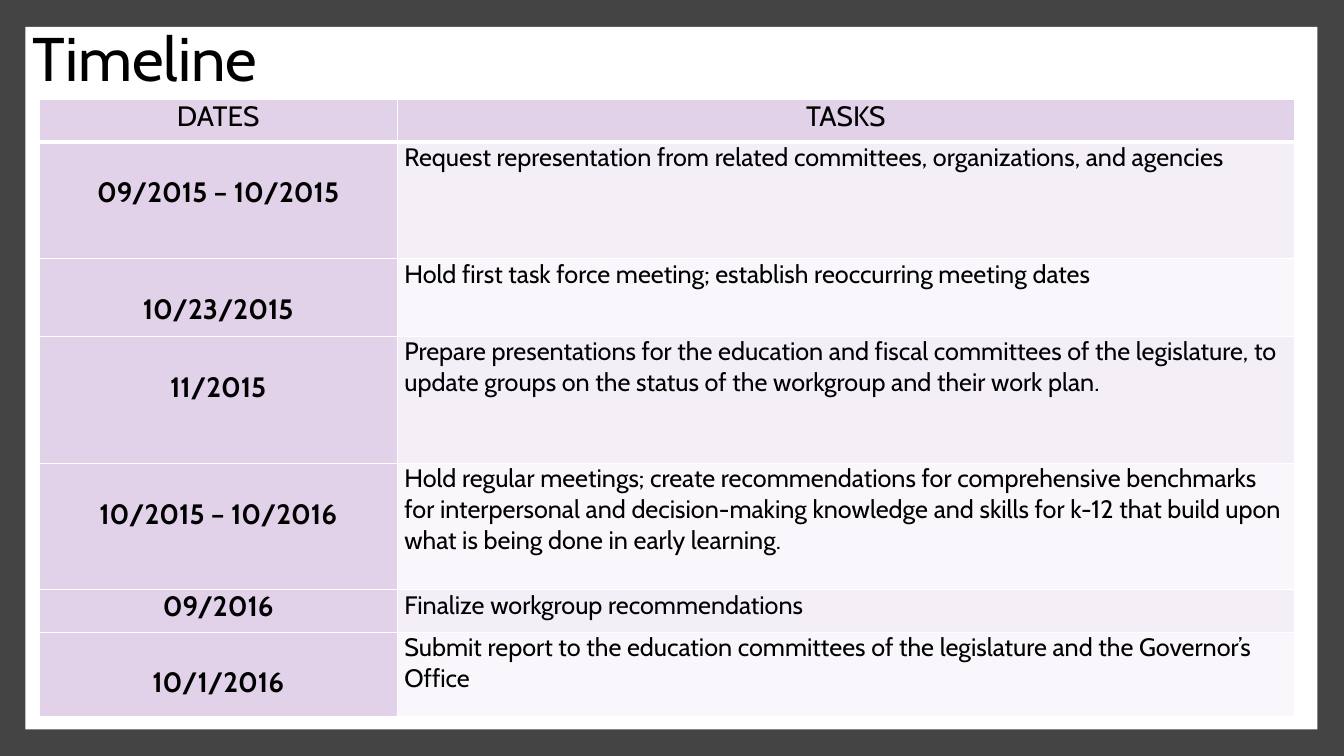
import pptx
import pptx.dml.color
import pptx.enum.shapes
import pptx.enum.text
import pptx.util
from lxml import etree
from pptx.oxml.ns import qn

Cm = pptx.util.Cm
Pt = pptx.util.Pt
ALIGN = pptx.enum.text.PP_ALIGN
ANCHOR = pptx.enum.text.MSO_ANCHOR

# Content
TITLE = "Timeline"
HEADINGS = ("DATES", "TASKS")
# date, task, row height in cm, date set one line lower
TIMELINE = [
    ("09/2015 – 10/2015",
     "Request representation from related committees, organizations, and agencies",
     2.95, True),
    ("10/23/2015",
     "Hold first task force meeting; establish reoccurring meeting dates",
     1.96, True),
    ("11/2015",
     "Prepare presentations for the education and fiscal committees of the "
     "legislature, to update groups on the status of the workgroup and their work plan.",
     3.2, True),
    ("10/2015 – 10/2016",
     "Hold regular meetings; create recommendations for comprehensive benchmarks for "
     "interpersonal and decision-making knowledge and skills for k-12 that build upon "
     "what is being done in early learning.",
     3.18, True),
    ("09/2016", "Finalize workgroup recommendations", 1.07, False),
    ("10/1/2016",
     "Submit report to the education committees of the legislature and the "
     "Governor’s Office",
     2.13, True),
]

# Style
FONT = "Cabin"
COLORS = {
    "background": "444444",
    "panel": "FFFFFF",
    "border": "FFFFFF",
    "text": "000000",
    "label": "E1D2EA",
    "odd": "F4EEF7",
    "even": "F9F7FB",
}
HEADING_HEIGHT = 1.07
COLUMN_WIDTHS = (9.02, 22.61)
DATE_DROP = 0.85


def color(name):
    return pptx.dml.color.RGBColor.from_string(COLORS[name])


def add_text(paragraph, text, size, bold=False):
    run = paragraph.add_run()
    run.text = text
    run.font.name = FONT
    run.font.size = Pt(size)
    run.font.bold = bold
    run.font.color.rgb = color("text")


def add_border(cell, side, points):
    line = etree.SubElement(cell._tc.get_or_add_tcPr(), qn("a:" + side),
                            w=str(Pt(points)))
    fill = etree.SubElement(line, qn("a:solidFill"))
    etree.SubElement(fill, qn("a:srgbClr"), val=COLORS["border"])


def fill_cell(cell, text, size, fill, bold=False, centered=False,
              drop=0, top=1, bottom=1):
    cell.margin_left = cell.margin_right = Cm(0.18)
    cell.margin_top = Cm(drop)
    cell.margin_bottom = Cm(0)
    cell.vertical_anchor = ANCHOR.TOP
    for side, points in (("lnL", 1), ("lnR", 1), ("lnT", top), ("lnB", bottom)):
        add_border(cell, side, points)
    cell.fill.solid()
    cell.fill.fore_color.rgb = color(fill)
    paragraph = cell.text_frame.paragraphs[0]
    paragraph.alignment = ALIGN.CENTER if centered else ALIGN.LEFT
    add_text(paragraph, text, size, bold)


presentation = pptx.Presentation()
presentation.slide_width = Cm(33.87)
presentation.slide_height = Cm(19.05)
slide = presentation.slides.add_slide(presentation.slide_layouts[6])

# Background and white panel
slide.background.fill.solid()
slide.background.fill.fore_color.rgb = color("background")
panel = slide.shapes.add_shape(pptx.enum.shapes.MSO_SHAPE.RECTANGLE,
                               Cm(0.64), Cm(0.68), Cm(32.56), Cm(17.7))
panel.shadow.inherit = False
panel.fill.solid()
panel.fill.fore_color.rgb = color("panel")
panel.line.fill.background()

# Timeline table
heights = [HEADING_HEIGHT] + [row[2] for row in TIMELINE]
table = slide.shapes.add_table(len(heights), len(COLUMN_WIDTHS), Cm(0.99), Cm(2.5),
                               Cm(sum(COLUMN_WIDTHS)), Cm(sum(heights))).table
for column, width in zip(table.columns, COLUMN_WIDTHS):
    column.width = Cm(width)
for row, height in zip(table.rows, heights):
    row.height = Cm(height)

for index, heading in enumerate(HEADINGS):
    fill_cell(table.cell(0, index), heading, 20, "label", centered=True, bottom=3)
for number, (date, task, height, lowered) in enumerate(TIMELINE, start=1):
    top = 3 if number == 1 else 1
    fill_cell(table.cell(number, 0), date, 20, "label", bold=True, centered=True,
              drop=DATE_DROP if lowered else 0, top=top)
    fill_cell(table.cell(number, 1), task, 18, "odd" if number % 2 else "even", top=top)

# Title
title = slide.shapes.add_textbox(Cm(0.58), Cm(0.76), Cm(26.7), Cm(1.6))
title.text_frame.word_wrap = True
title.text_frame.vertical_anchor = ANCHOR.MIDDLE
title_paragraph = title.text_frame.paragraphs[0]
title_paragraph.line_spacing = 0.9
add_text(title_paragraph, TITLE, 44)

presentation.save("out.pptx")
